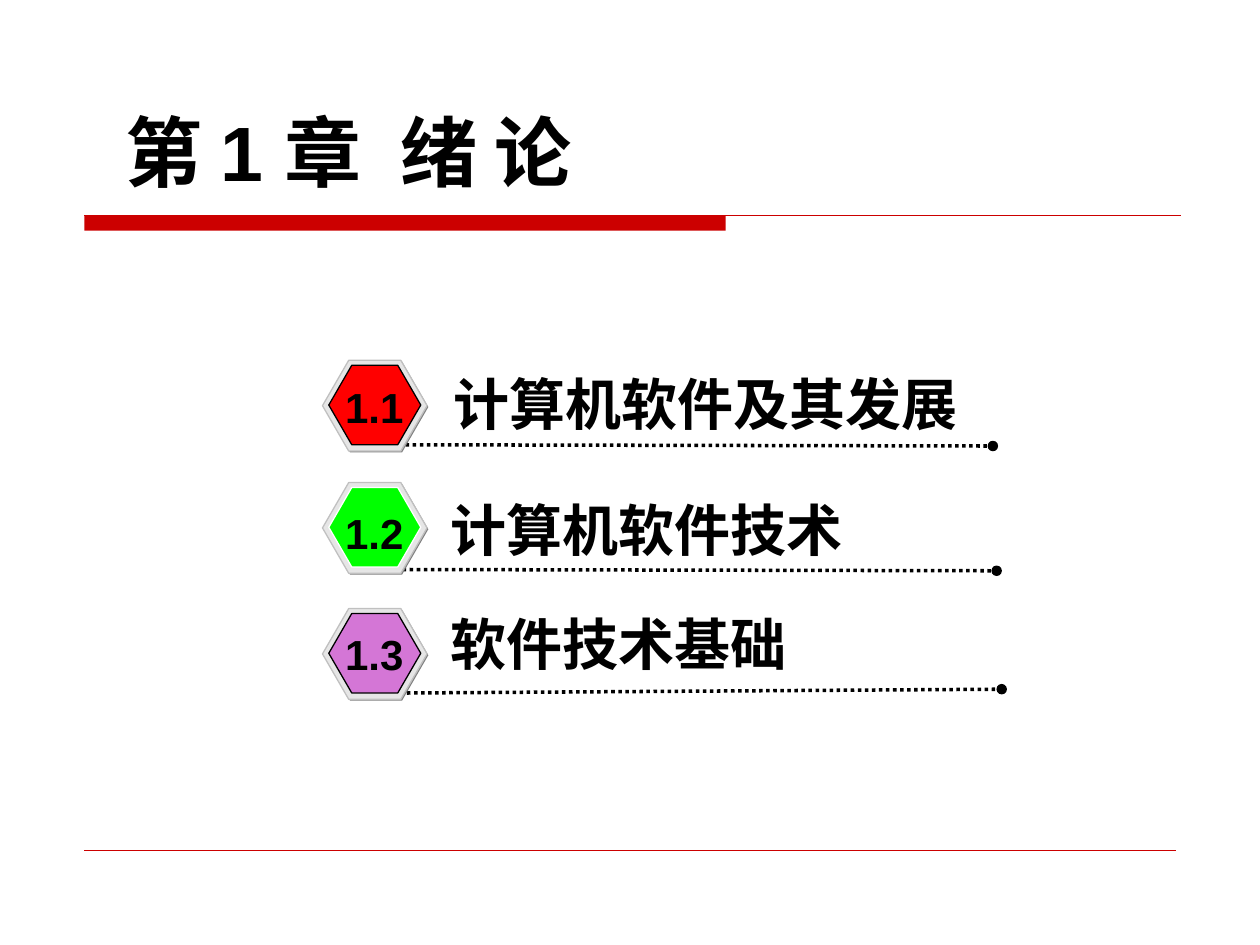
from dataclasses import dataclass

from lxml import etree
from pptx import Presentation
from pptx import util as u
from pptx.dml.color import RGBColor
from pptx.enum import dml, shapes, text
from pptx.oxml.ns import qn

COLORS = {
    "black": "000000", "white": "FFFFFF", "banner": "CC0000",
    "shade": "808080", "rim": "E6E6E6", "rim_line": "C0C0C0",
    "red": "FF0000", "green": "00FF00", "violet": "D476D6",
}
FONT = "Arial"


@dataclass
class Section:
    number: str
    title: str
    fill: str
    edge: str
    badge_top: float
    number_top: float
    title_left: float
    title_top: float
    rule: tuple  # x1, y1, x2, y2


SECTIONS = [
    Section("1.1", "计算机软件及其发展", "red", "black", 2.86, 2.98, 3.5, 2.88,
            (3.22, 3.53, 7.88, 3.54)),
    Section("1.2", "计算机软件技术", "green", "white", 3.83, 3.98, 3.48, 3.88,
            (3.14, 4.52, 7.91, 4.53)),
    Section("1.3", "软件技术基础", "violet", "black", 4.83, 4.94, 3.48, 4.79,
            (3.23, 5.5, 7.95, 5.47)),
]


def rgb(name: str) -> RGBColor:
    return RGBColor.from_string(COLORS[name])


def add_line(s, ends: tuple, color: str, width: float):
    c = s.shapes.add_connector(shapes.MSO_CONNECTOR.STRAIGHT,
                               *(u.Inches(v) for v in ends))
    c.line.color.rgb = rgb(color)
    c.line.width = u.Pt(width)
    etree.SubElement(c._element.spPr, qn("a:effectLst"))
    return c


def add_dotted_rule(s, ends: tuple) -> None:
    c = add_line(s, ends, "black", 2)
    c.line.dash_style = dml.MSO_LINE.ROUND_DOT
    etree.SubElement(c.line._get_or_add_ln(), qn("a:tailEnd"), type="oval")


def add_shape(parent, kind, box: tuple, fill: str, edge: str | None = None):
    sp = parent.shapes.add_shape(kind, *(u.Inches(v) for v in box))
    sp.shadow.inherit = False
    sp.fill.solid()
    sp.fill.fore_color.rgb = rgb(fill)
    if edge:
        sp.line.color.rgb = rgb(edge)
        sp.line.width = u.Pt(0.75)
    else:
        sp.line.fill.background()
    return sp


def add_badge(s, top: float, fill: str, edge: str) -> None:
    group = s.shapes.add_group_shape()
    for box, color, line in (
        ((2.57, top + 0.01, 0.83, 0.72), "shade", None),
        ((2.56, top, 0.83, 0.72), "rim", "rim_line"),
        ((2.61, top + 0.04, 0.73, 0.63), fill, edge),
    ):
        sp = add_shape(group, shapes.MSO_SHAPE.HEXAGON, box, color, line)
        sp.adjustments[0] = 0.289


def add_text(s, box: tuple, words: str, size: float, wrap: bool = True,
             align=text.PP_ALIGN.LEFT, anchor=text.MSO_ANCHOR.TOP):
    tf = s.shapes.add_textbox(*(u.Inches(v) for v in box)).text_frame
    tf.word_wrap = wrap
    tf.vertical_anchor = anchor
    p = tf.paragraphs[0]
    p.alignment = align
    p.add_run().text = words
    p.font.name, p.font.size, p.font.bold = FONT, u.Pt(size), True
    p.font.color.rgb = rgb("black")
    return p


def main() -> None:
    prs = Presentation()
    prs.slide_width, prs.slide_height = u.Inches(10), u.Inches(7.5)
    s = prs.slides.add_slide(prs.slide_layouts[6])

    # Title banner and footer rule
    add_shape(s, shapes.MSO_SHAPE.RECTANGLE, (0.67, 1.71, 5.09, 0.12), "banner")
    add_line(s, (0.67, 1.71, 9.37, 1.71), "banner", 0.75)
    add_line(s, (0.67, 6.75, 9.33, 6.75), "banner", 0.25)

    # Chapter title, with a wider gap before the chapter name
    p = add_text(s, (0.9, 0.61, 8.36, 1.17), "第 1 章", 44,
                 anchor=text.MSO_ANCHOR.MIDDLE)
    gap = p.add_run()
    gap.text = " "
    gap._r.get_or_add_rPr().set("spc", "1200")
    p.add_run().text = "绪 论"

    # Section list
    for sec in SECTIONS:
        add_dotted_rule(s, sec.rule)
        add_badge(s, sec.badge_top, sec.fill, sec.edge)
        add_text(s, (2.64, sec.number_top, 0.66, 0.5), sec.number, 24,
                 wrap=False, align=text.PP_ALIGN.CENTER)
        add_text(s, (sec.title_left, sec.title_top, 4.8, 0.64), sec.title, 32)

    prs.save("out.pptx")


if __name__ == "__main__":
    main()
